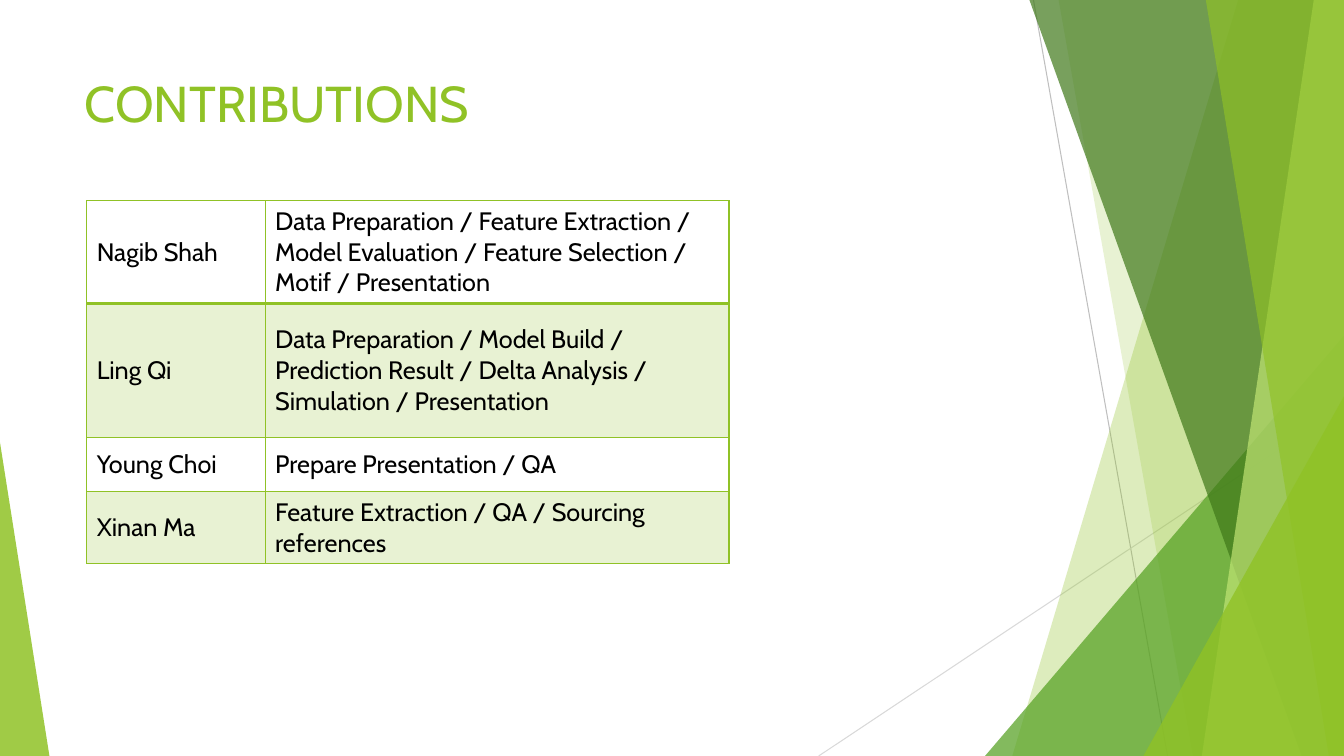
from dataclasses import dataclass

from lxml import etree
from pptx import Presentation
from pptx.dml.color import RGBColor
from pptx.enum.shapes import MSO_CONNECTOR, MSO_SHAPE
from pptx.enum.text import MSO_ANCHOR, PP_ALIGN
from pptx.oxml.ns import qn
from pptx.util import Inches, Pt

STRAIGHT = MSO_CONNECTOR.STRAIGHT
TRIANGLE = MSO_SHAPE.ISOSCELES_TRIANGLE
TOP, MIDDLE = MSO_ANCHOR.TOP, MSO_ANCHOR.MIDDLE
LEFT = PP_ALIGN.LEFT

WIDTH, HEIGHT = 13.33, 7.5
FONT = "Cabin"
LIME, BLACK = "90C226", "000000"


@dataclass
class Ray:
    start: tuple[float, float]
    end: tuple[float, float]
    color: str


@dataclass
class Band:
    """A facet between a slanted left edge and the right slide edge."""
    top_x: float
    bottom_x: float
    color: str
    opacity: int


@dataclass
class Wedge:
    """A right triangle standing on the bottom slide edge."""
    left: float
    top: float
    width: float
    apex: float
    color: str
    opacity: int


@dataclass
class Contribution:
    member: str
    tasks: str
    height: float


RAYS = [
    Ray((10.25, 0), (11.58, HEIGHT), "BFBFBF"),
    Ray((WIDTH, 4.03), (8.12, HEIGHT), "D9D9D9"),
]
FACETS = [
    Band(12.28, 10.04, LIME, 30),
    Band(10.5, 11.83, LIME, 20),
    Wedge(9.77, 3.33, 3.56, 1, "54A021", 72),
    Band(10.21, 12.91, "3F7819", 70),
    Band(13.03, 11.92, "C0E474", 70),
    Band(11.96, 13.18, LIME, 65),
    Wedge(11.34, 3.93, 1.99, 1, LIME, 80),
    Wedge(0, 4.39, 0.49, 0, LIME, 85),
]
CONTRIBUTIONS = [
    Contribution("Nagib Shah", "Data Preparation / Feature Extraction / Model Evaluation / "
                 "Feature Selection / Motif / Presentation", 1.02),
    Contribution("Ling Qi", "Data Preparation / Model Build / Prediction Result / "
                 "Delta Analysis / Simulation / Presentation", 1.33),
    Contribution("Young Choi", "Prepare Presentation / QA", 0.54),
    Contribution("Xinan Ma", "Feature Extraction / QA / Sourcing references", 0.7),
]
COLUMN_WIDTHS = [1.77, 4.6]


def rgb(color: str) -> RGBColor:
    return RGBColor.from_string(color)


def fill_with(filled, properties, color: str, opacity: int) -> None:
    filled.fill.solid()
    filled.fill.fore_color.rgb = rgb(color)
    color_element = properties.find(qn("a:solidFill"))[0]
    etree.SubElement(color_element, qn("a:alpha"), val=str(opacity * 1000))


def write(frame, text: str, *, size: int, color: str) -> None:
    frame.word_wrap = True
    frame.text = text
    paragraph = frame.paragraphs[0]
    paragraph.alignment = LEFT
    font = paragraph.runs[0].font
    font.name, font.size = FONT, Pt(size)
    font.color.rgb = rgb(color)


def draw_ray(shapes, ray: Ray) -> None:
    points = [Inches(value) for value in ray.start + ray.end]
    line = shapes.add_connector(STRAIGHT, *points)
    line.line.color.rgb = rgb(ray.color)
    line.line.width = Pt(0.75)
    etree.SubElement(line._element.spPr, qn("a:effectLst"))


def draw_facet(shapes, facet: Band | Wedge) -> None:
    if isinstance(facet, Band):
        corners = [(WIDTH, 0), (WIDTH, HEIGHT), (facet.bottom_x, HEIGHT)]
        outline = shapes.build_freeform(Inches(facet.top_x), 0)
        outline.add_line_segments([(Inches(x), Inches(y)) for x, y in corners])
        shape = outline.convert_to_shape()
    else:
        shape = shapes.add_shape(TRIANGLE, Inches(facet.left), Inches(facet.top),
                                 Inches(facet.width), Inches(HEIGHT - facet.top))
        shape.adjustments[0] = facet.apex
    shape.shadow.inherit = False
    shape.line.fill.background()
    fill_with(shape, shape._element.spPr, facet.color, facet.opacity)


def border(properties, side: str, points: float) -> None:
    line = etree.SubElement(properties, qn(f"a:ln{side}"), w=str(Pt(points)))
    solid = etree.SubElement(line, qn("a:solidFill"))
    etree.SubElement(solid, qn("a:srgbClr"), val=LIME)


def draw_contributions(shapes, contributions: list[Contribution]) -> None:
    table = shapes.add_table(
        len(contributions), len(COLUMN_WIDTHS), Inches(0.86), Inches(1.99),
        Inches(sum(COLUMN_WIDTHS)), Inches(sum(c.height for c in contributions))).table
    table.first_row = table.horz_banding = False
    for column, width in zip(table.columns, COLUMN_WIDTHS):
        column.width = Inches(width)
    for index, contribution in enumerate(contributions):
        table.rows[index].height = Inches(contribution.height)
        # The rule below the first row is heavier
        sides = {"L": 1, "R": 1, "T": 2 if index == 1 else 1, "B": 2 if index == 0 else 1}
        for column, text in enumerate([contribution.member, contribution.tasks]):
            cell = table.cell(index, column)
            cell.vertical_anchor = MIDDLE
            write(cell.text_frame, text, size=18, color=BLACK)
            properties = cell._tc.get_or_add_tcPr()
            for side, points in sides.items():
                border(properties, side, points)
            if index % 2:
                fill_with(cell, properties, LIME, 20)
            else:
                cell.fill.background()


def main() -> None:
    presentation = Presentation()
    presentation.slide_width, presentation.slide_height = Inches(WIDTH), Inches(HEIGHT)
    slide = presentation.slides.add_slide(presentation.slide_layouts[5])

    # Faceted backdrop
    for ray in RAYS:
        draw_ray(slide.shapes, ray)
    for facet in FACETS:
        draw_facet(slide.shapes, facet)

    # Title
    title = slide.shapes.title
    title.left, title.top = Inches(0.74), Inches(0.67)
    title.width, title.height = Inches(9.4), Inches(1.44)
    title.text_frame.vertical_anchor = TOP
    write(title.text_frame, "CONTRIBUTIONS", size=36, color=LIME)

    # Team table
    draw_contributions(slide.shapes, CONTRIBUTIONS)
    presentation.save("out.pptx")


if __name__ == "__main__":
    main()
